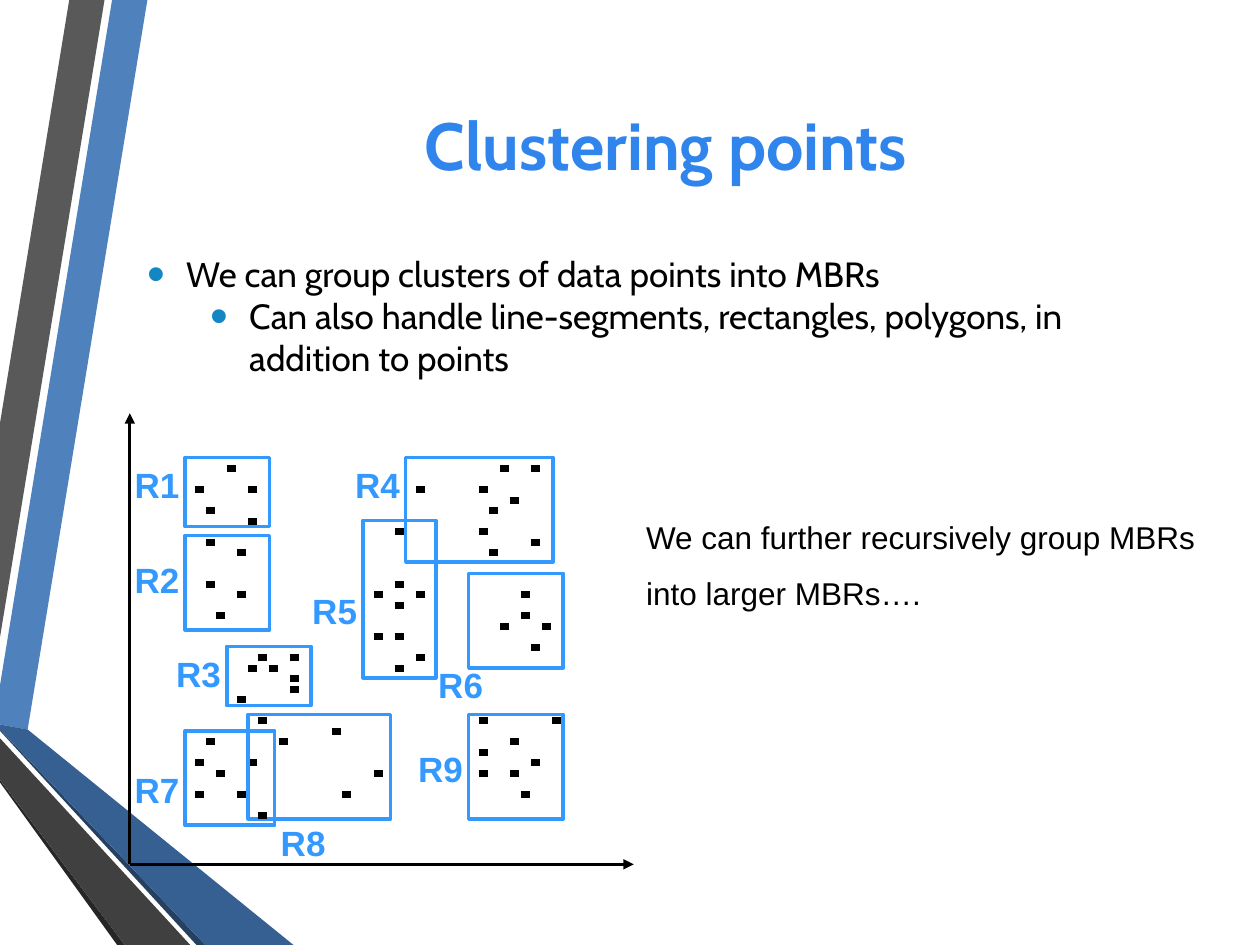
from lxml.etree import SubElement
from pptx import Presentation
from pptx.dml.color import RGBColor
from pptx.enum.shapes import MSO_CONNECTOR as Connector, MSO_SHAPE as Shape
from pptx.enum.text import MSO_ANCHOR as Anchor, PP_ALIGN as Align
from pptx.oxml.ns import qn
from pptx.util import Cm, Pt

COLORS = {
    "title": "3085ED", "text": "000000", "bullet": "1287C3", "region": "3399FF",
    "blue": "4F81BD", "grey": "595959", "black": "262626",
    "navy": "254061", "dark_blue": "376092", "dark_grey": "404040",
}

RIBBONS = [
    ("blue", [(0, 5.44), (0, 5.75), (0.22, 5.79), (1.17, 0), (0.89, 0)]),
    ("grey", [(0.83, 0), (0.55, 0), (0, 3.36), (0, 5.06)]),
    ("black", [(0, 6.19), (0, 6.21), (0.93, 7.5), (0.99, 7.5)]),
    ("navy", [(0, 5.79), (0, 5.8), (1.56, 7.5), (1.63, 7.5)]),
    ("dark_blue", [(0, 5.79), (1.63, 7.5), (2.33, 7.5), (0.22, 5.79), (0, 5.75)]),
    ("dark_grey", [(0, 6.19), (0.99, 7.5), (1.51, 7.5), (0, 5.86)]),
]

# Data points sit on a grid of twelve steps to the inch.
GRID_LEFT, GRID_TOP, GRID_STEP = 1.55, 3.72, 1 / 12
POINT_WIDTH = 0.07
LABEL_SIZE = (0.57, 0.44)

# Name, rectangle (left, top, width, height), label corner, points (column, row)
REGIONS = [
    ("R1", (1.47, 3.63, 0.67, 0.55), (0.97, 3.63),
     [(3, 0), (0, 2), (5, 2), (1, 4), (5, 5)]),
    ("R2", (1.47, 4.25, 0.67, 0.75), (0.97, 4.38),
     [(1, 7), (4, 8), (1, 11), (4, 12), (2, 14)]),
    ("R3", (1.8, 5.13, 0.67, 0.47), (1.3, 5.13),
     [(6, 18), (9, 18), (5, 19), (7, 19), (9, 20), (9, 21), (4, 22)]),
    ("R4", (3.22, 3.63, 1.17, 0.83), (2.72, 3.63),
     [(29, 0), (32, 0), (21, 2), (27, 2), (30, 3), (28, 4), (27, 6), (32, 7), (28, 8)]),
    ("R5", (2.88, 4.13, 0.58, 1.25), (2.38, 4.63),
     [(19, 6), (19, 11), (17, 12), (21, 12), (19, 13), (17, 16), (19, 16), (21, 18),
      (19, 19)]),
    ("R6", (3.72, 4.55, 0.75, 0.75), (3.38, 5.22),
     [(31, 12), (31, 14), (29, 15), (33, 15), (32, 17)]),
    ("R7", (1.47, 5.8, 0.71, 0.75), (0.97, 6.05),
     [(1, 26), (0, 28), (5, 28), (2, 29), (0, 31), (4, 31)]),
    ("R8", (1.97, 5.67, 1.13, 0.83), (2.13, 6.47),
     [(6, 24), (13, 25), (8, 26), (17, 29), (14, 31), (6, 33)]),
    ("R9", (3.72, 5.67, 0.75, 0.83), (3.22, 5.88),
     [(27, 24), (34, 24), (30, 26), (27, 27), (32, 28), (27, 29), (30, 29), (31, 31)]),
]


def inch(value):
    return Cm(value * 2.54)


def color(name):
    return RGBColor.from_string(COLORS[name])


def add_ribbon(page, fill, corners):
    points = [(inch(x), inch(y)) for x, y in corners]
    builder = page.shapes.build_freeform(*points[0])
    builder.add_line_segments(points[1:], close=True)
    ribbon = builder.convert_to_shape()
    ribbon.shadow.inherit = False
    ribbon.fill.solid()
    ribbon.fill.fore_color.rgb = color(fill)
    ribbon.line.fill.background()


def add_text(page, area, lines, size, ink, font, bold=False, wrap=True):
    box = page.shapes.add_textbox(*map(inch, area))
    frame = box.text_frame
    frame.word_wrap = wrap
    frame.text = "\n".join(lines)
    for para in frame.paragraphs:
        for span in para.runs:
            span.font.size = Pt(size)
            span.font.name = font
            span.font.bold = bold
            span.font.color.rgb = color(ink)
    return frame


def add_bullet(para, level):
    para.level = level
    properties = para._p.get_or_add_pPr()
    properties.set("marL", str(inch(0.31 + 0.5 * level)))
    properties.set("indent", str(inch(-0.31)))
    tint = SubElement(properties, qn("a:buClr"))
    SubElement(tint, qn("a:srgbClr"), val=COLORS["bullet"])
    SubElement(properties, qn("a:buSzPct"), val="145000")
    SubElement(properties, qn("a:buFont"), typeface="Arial")
    SubElement(properties, qn("a:buChar"), char="•")


def add_line(page, start, end, width, arrow=False):
    line = page.shapes.add_connector(
        Connector.STRAIGHT, *map(inch, start), *map(inch, end))
    line.line.color.rgb = color("text")
    line.line.width = Pt(width)
    if arrow:
        SubElement(line.line._get_or_add_ln(), qn("a:tailEnd"), type="triangle")
    SubElement(line._element.spPr, qn("a:effectLst"))


def add_point(page, column, row):
    x = GRID_LEFT + column * GRID_STEP
    y = GRID_TOP + row * GRID_STEP
    add_line(page, (x, y), (x + POINT_WIDTH, y), 4)


def add_region(page, name, area, corner, points):
    """Draw a bounding rectangle with its label and the points inside it."""
    region = page.shapes.add_shape(Shape.RECTANGLE, *map(inch, area))
    region.shadow.inherit = False
    region.fill.background()
    region.line.color.rgb = color("region")
    region.line.width = Pt(2)
    for column, row in points:
        add_point(page, column, row)
    add_text(page, corner + LABEL_SIZE, [name], 20, "region", "Arial",
             bold=True, wrap=False)


def main():
    deck = Presentation()
    deck.slide_width, deck.slide_height = inch(10), inch(7.5)
    page = deck.slides.add_slide(deck.slide_layouts[6])

    for fill, corners in RIBBONS:
        add_ribbon(page, fill, corners)

    title = add_text(page, (1.07, 0.5, 8.43, 1.28), ["Clustering points"],
                     38, "title", "Cabin", bold=True)
    title.vertical_anchor = Anchor.MIDDLE
    title.paragraphs[0].alignment = Align.CENTER

    body = add_text(page, (1.07, 1.86, 8.43, 1.59), [
        "We can group clusters of data points into MBRs",
        "Can also handle line-segments, rectangles, polygons, in addition to points",
    ], 20, "text", "Cabin")
    body.vertical_anchor = Anchor.MIDDLE
    body.margin_bottom = inch(0.35)
    for level, para in enumerate(body.paragraphs):
        add_bullet(para, level)

    for region in REGIONS:
        add_region(page, *region)

    origin = (1.03, 6.86)
    add_line(page, origin, (1.03, 3.28), 1.5, arrow=True)
    add_line(page, origin, (5.03, 6.86), 1.5, arrow=True)

    remark = add_text(page, (5.03, 3.92, 4.9, 1), [
        "We can further recursively group MBRs into larger MBRs….",
    ], 18, "text", "Arial")
    remark.paragraphs[0].line_spacing = Pt(32)

    deck.save("out.pptx")


if __name__ == "__main__":
    main()
